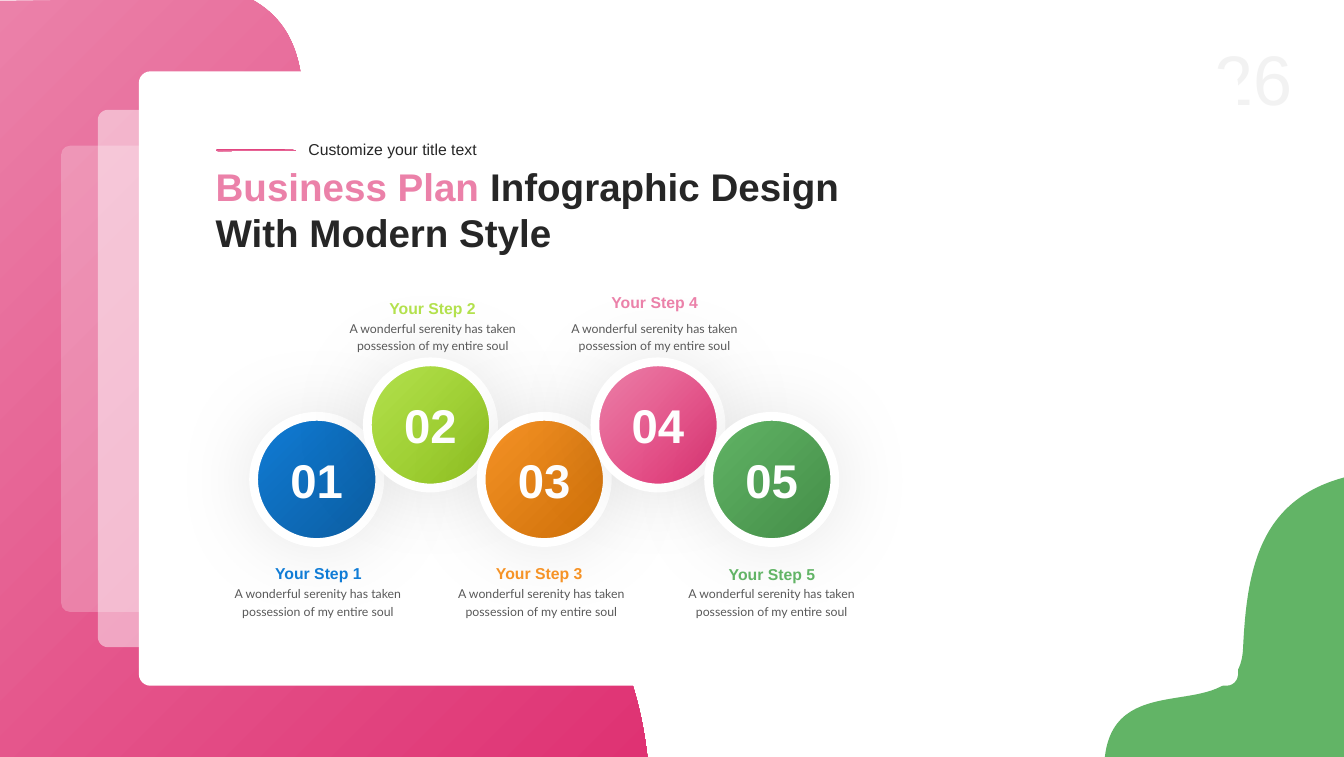
"""Build a business plan slide with five overlapping numbered steps."""
from lxml.etree import SubElement
from pptx import Presentation
from pptx.dml.color import RGBColor
from pptx.enum.shapes import MSO_SHAPE as Preset
from pptx.enum.text import MSO_ANCHOR as Anchor, MSO_AUTO_SIZE as AutoSize, PP_ALIGN as Align
from pptx.oxml.ns import qn
from pptx.util import Pt

COLORS = {
    "white": "FFFFFF", "black": "000000", "dark": "262626", "gray": "595959", "pale": "F2F2F2",
    "blue": "107CD6", "blue_end": "0C5DA0", "lime": "B3E14D", "lime_end": "90C221",
    "orange": "F69326", "orange_end": "CD6F08", "pink": "EB81A9", "pink_end": "DF3273",
    "green": "62B466", "green_end": "438D47",
}
WIDTH, HEIGHT = 1533.6, 864
BODY = "A wonderful serenity has taken possession of my entire soul"
CARDS = [
    (69.8, 166.3, 951.8, 532.1, 24),
    (111.6, 125.3, 1096.6, 613.4, 48),
    (158.4, 81.4, 1254.2, 701.3, 100),
]
STEPS = [
    ("blue", 257.8, 635.8, 236.9),
    ("lime", 388.1, 332.6, 367.9),
    ("orange", 509.8, 635.8, 491.8),
    ("pink", 641.5, 325.8, 620.9),
    ("green", 775.4, 636.5, 754.6),
]
CIRCLE_SIZE, CIRCLE_LEFT, CIRCLE_PITCH = 144, 289.4, 129.8
LOW_ROW = {"circle": 475.2, "body": 662.4}
HIGH_ROW = {"circle": 413, "body": 359.3}


def rgb(name):
    """Return the named colour."""
    return RGBColor.from_string(COLORS[name])


def fill_solid(fill, color):
    """Give a fill one colour."""
    fill.solid()
    fill.fore_color.rgb = rgb(color)


def fill_gradient(fill, start, end, clockwise):
    """Give a fill a two-colour linear gradient."""
    fill.gradient()
    fill.gradient_angle = 360 - clockwise
    for stop, color, position in zip(fill.gradient_stops, (start, end), (0, 1)):
        stop.color.rgb = rgb(color)
        stop.position = position


def add_alpha(color_element, percent):
    """Set the opacity of a colour element."""
    SubElement(color_element, qn("a:alpha"), val=str(percent * 1000))


def add_glow_shadow(shape, blur, percent):
    """Add a centred soft black shadow to a shape."""
    shape.shadow.inherit = False
    effects = shape._element.spPr.find(qn("a:effectLst"))
    shadow = SubElement(effects, qn("a:outerShdw"), blurRad=str(Pt(blur)), dist="0", dir="0",
                        algn="ctr", rotWithShape="0")
    add_alpha(SubElement(shadow, qn("a:srgbClr"), val=COLORS["black"]), percent)


def format_run(run, size, color, bold=False, font="Arial"):
    """Set the font of a run."""
    run.font.name, run.font.size, run.font.bold = font, Pt(size), bold
    run.font.color.rgb = rgb(color)


def add_text(slide, box, text, size, color, bold=False, font="Arial", align=None, spacing=None):
    """Add a wrapped text box and return its paragraph."""
    frame = slide.shapes.add_textbox(*map(Pt, box)).text_frame
    frame.word_wrap = True
    frame.auto_size = AutoSize.SHAPE_TO_FIT_TEXT
    paragraph = frame.paragraphs[0]
    paragraph.text = text
    paragraph.alignment, paragraph.line_spacing = align, spacing
    format_run(paragraph.runs[0], size, color, bold, font)
    return paragraph


def add_outline(slide, start, *segments):
    """Add a closed freeform; one point makes a line, three make a cubic curve."""
    points = [tuple(map(Pt, point)) for segment in segments for point in segment]
    builder = slide.shapes.build_freeform(*map(Pt, start), scale=1.0)
    builder.add_line_segments(points, close=True)
    shape = builder.convert_to_shape()
    lines = iter(list(shape._element.iter(qn("a:lnTo"))))
    for segment in segments:
        first, *others = [next(lines) for _ in segment]
        if others:
            first.tag = qn("a:cubicBezTo")
            for line in others:
                first.append(line[0])
                line.getparent().remove(line)
    shape.shadow.inherit = False
    shape.line.fill.background()
    return shape


def add_background(slide):
    """Add the pink and green corner shapes."""
    pink = add_outline(
        slide, (0, 0.7), [(285.8, -1.4)],
        [(409, 64.1), (293, 259.2), (368.6, 403.2)],
        [(444.2, 547.9), (706.3, 573.1), (738.7, HEIGHT)],
        [(0, HEIGHT)])
    fill_gradient(pink.fill, "pink", "pink_end", 45)
    green = add_outline(
        slide, (WIDTH, 545),
        [(1437.8, 571), (1422.7, 648.7), (1418.4, 740.2)],
        [(1414.1, 832.3), (1272.9, 756.7), (1260.7, HEIGHT)],
        [(WIDTH, HEIGHT)])
    fill_solid(green.fill, "green")


def add_card(slide, left, top, width, height, opacity):
    """Add a white rounded card."""
    card = slide.shapes.add_shape(Preset.ROUNDED_RECTANGLE, *map(Pt, (left, top, width, height)))
    card.adjustments[0] = 0.019
    card.shadow.inherit = False
    card.line.fill.background()
    fill_solid(card.fill, "white")
    if opacity < 100:
        add_alpha(card._element.spPr.find(qn("a:solidFill"))[0], opacity)


def add_title(slide):
    """Add the title, its lead-in and the accent stroke."""
    add_text(slide, (344.9, 155.5, 264.2, 28.8), "Customize your title text", 18, "dark")
    stroke = add_outline(
        slide, (249.1, 169.9),
        [(289.4, 170.6), (321.8, 170.6), (338.4, 171.4)],
        [(326.2, 172.1), (324.7, 172.1), (274.3, 172.1)],
        [(249.1, 172.8)],
        [(247.7, 172.1), (247, 172.1), (247, 171.4)],
        [(247, 170.6), (247.7, 169.9), (249.1, 169.9)])
    fill_gradient(stroke.fill, "pink_end", "pink", 90)
    paragraph = add_text(slide, (239, 182.5, 768.2, 113.8), "Business Plan ", 44, "pink", True)
    fill_gradient(paragraph.runs[0].font.fill, "pink", "pink_end", 140)
    run = paragraph.add_run()
    run.text = "Infographic Design With Modern Style"
    format_run(run, 44, "dark", True)


def add_circle(slide, number, color, left, top):
    """Add a numbered gradient circle."""
    circle = slide.shapes.add_shape(Preset.OVAL, *map(Pt, (left, top, CIRCLE_SIZE, CIRCLE_SIZE)))
    fill_gradient(circle.fill, color, f"{color}_end", 45)
    circle.line.color.rgb = rgb("white")
    circle.line.width = Pt(10)
    add_glow_shadow(circle, 93, 10)
    frame = circle.text_frame
    frame.text = f"{number:02d}"
    frame.vertical_anchor = Anchor.MIDDLE
    frame.paragraphs[0].alignment = Align.CENTER
    format_run(frame.paragraphs[0].runs[0], 54, "white", True)


def add_step(slide, index, color, heading_left, heading_top, body_left):
    """Add one step: circle, heading and description."""
    row = HIGH_ROW if index % 2 else LOW_ROW
    add_circle(slide, index + 1, color, CIRCLE_LEFT + index * CIRCLE_PITCH, row["circle"])
    add_text(slide, (heading_left, heading_top, 211, 31.7), f"Your Step {index + 1}", 18, color,
             True, align=Align.CENTER, spacing=1.2)
    add_text(slide, (body_left, row["body"], 252, 46.1), BODY, 14, "gray", font="Lato",
             align=Align.CENTER, spacing=1.2)


def main():
    """Build and save the slide."""
    presentation = Presentation()
    presentation.slide_width, presentation.slide_height = Pt(WIDTH), Pt(HEIGHT)
    slide = presentation.slides.add_slide(presentation.slide_layouts[6])
    add_background(slide)
    add_text(slide, (1370.6, 36.5, 120, 100), "26", 80, "pale", align=Align.CENTER)
    for card in CARDS:
        add_card(slide, *card)
    add_title(slide)
    for index, step in enumerate(STEPS):
        add_step(slide, index, *step)
    presentation.save("out.pptx")


if __name__ == "__main__":
    main()
